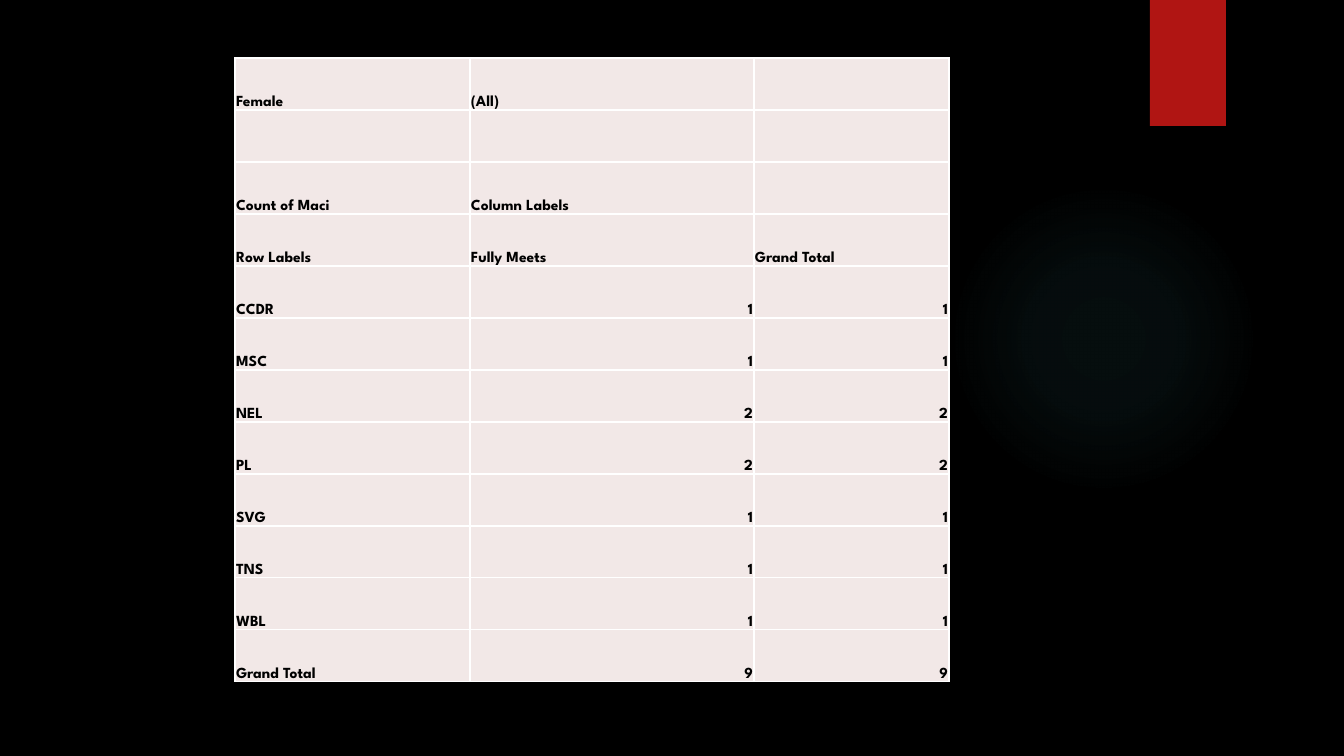
"""Builds a dark slide with a table counting Maci ratings by row label."""
import pptx
import pptx.dml.color
import pptx.enum.shapes
import pptx.enum.text
import pptx.oxml
import pptx.oxml.ns
import pptx.util

EMU_PER_PX = 914400 / 100.8
BLACK = pptx.dml.color.RGBColor(0x00, 0x00, 0x00)
RED = pptx.dml.color.RGBColor(0xB0, 0x15, 0x13)
BLUSH = pptx.dml.color.RGBColor(0xF2, 0xE8, 0xE7)
WHITE = pptx.dml.color.RGBColor(0xFF, 0xFF, 0xFF)
TEAL = pptx.dml.color.RGBColor(0x50, 0xB9, 0xC1)
NAMESPACE = pptx.oxml.ns.nsdecls("a")


def px(length):
    return pptx.util.Emu(round(length * EMU_PER_PX))


def add_plain(kind, left, top, width, height):
    shape = slide.shapes.add_shape(kind, px(left), px(top), px(width), px(height))
    shape.shadow.inherit = False
    shape.line.fill.background()
    return shape


deck = pptx.Presentation()
deck.slide_width, deck.slide_height = px(1344), px(756)
slide = deck.slides.add_slide(deck.slide_layouts[6])
slide.background.fill.solid()
slide.background.fill.fore_color.rgb = BLACK

glow = add_plain(pptx.enum.shapes.MSO_SHAPE.OVAL, 949, 184, 310, 310)
stops = "".join(
    f'<a:gs pos="{position * 1000}"><a:srgbClr val="{TEAL}">'
    f'<a:alpha val="{opacity * 1000}"/></a:srgbClr></a:gs>'
    for position, opacity in [(0, 7), (36, 6), (69, 0)])
glow.fill.background()
glow_props = glow._element.spPr
glow_props.replace(glow_props.find(pptx.oxml.ns.qn("a:noFill")), pptx.oxml.parse_xml(
    f'<a:gradFill {NAMESPACE}><a:gsLst>{stops}</a:gsLst><a:path path="circle">'
    '<a:fillToRect l="50000" t="50000" r="50000" b="50000"/></a:path></a:gradFill>'))

ribbon = add_plain(pptx.enum.shapes.MSO_SHAPE.RECTANGLE, 1150, 0, 76, 126)
ribbon.fill.solid()
ribbon.fill.fore_color.rgb = RED

COUNTS = {"CCDR": 1, "MSC": 1, "NEL": 2, "PL": 2, "SVG": 1, "TNS": 1, "WBL": 1}
rows = [
    ("Female", "(All)", ""),
    ("", "", ""),
    ("Count of Maci", "Column Labels", ""),
    ("Row Labels", "Fully Meets", "Grand Total"),
]
rows += [(label, str(count), str(count)) for label, count in COUNTS.items()]
total = str(sum(COUNTS.values()))
rows.append(("Grand Total", total, total))

COLUMN_WIDTHS = [235, 284, 195]
ROW_HEIGHT = 52
ratings = slide.shapes.add_table(
    len(rows), len(COLUMN_WIDTHS), px(235), px(58),
    px(sum(COLUMN_WIDTHS)), px(ROW_HEIGHT * len(rows))).table
for column, width in zip(ratings.columns, COLUMN_WIDTHS):
    column.width = px(width)

for row, texts in zip(ratings.rows, rows):
    row.height = px(ROW_HEIGHT)
    for cell, text in zip(row.cells, texts):
        cell.fill.solid()
        cell.fill.fore_color.rgb = BLUSH
        cell.vertical_anchor = pptx.enum.text.MSO_ANCHOR.BOTTOM
        cell.margin_left = cell.margin_top = cell.margin_right = px(1)
        cell.margin_bottom = 0
        cell.text_frame.text = text
        paragraph = cell.text_frame.paragraphs[0]
        if text.isdigit():
            paragraph.alignment = pptx.enum.text.PP_ALIGN.RIGHT
        paragraph.font.size = pptx.util.Pt(11)
        for run in paragraph.runs:
            run.font.name = "League Spartan"
            run.font.size = pptx.util.Pt(11)
            run.font.bold = True
            run.font.color.rgb = BLACK
        for order, edge in enumerate(["lnL", "lnR", "lnT", "lnB"]):
            cell._tc.tcPr.insert(order, pptx.oxml.parse_xml(
                f'<a:{edge} {NAMESPACE} w="12700"><a:solidFill>'
                f'<a:srgbClr val="{WHITE}"/></a:solidFill></a:{edge}>'))

deck.save("out.pptx")
